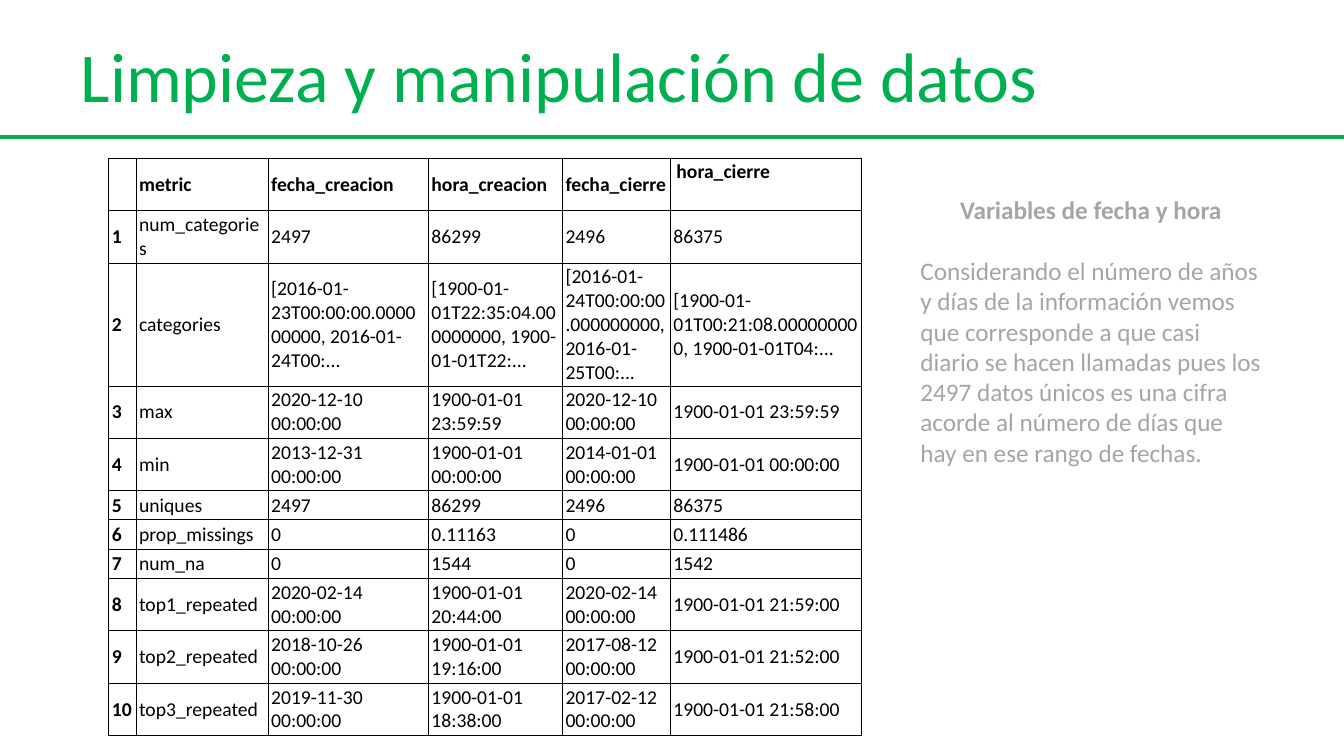
from pptx import Presentation
from pptx.dml.color import RGBColor
from pptx.enum.shapes import MSO_CONNECTOR as Link
from pptx.enum.text import MSO_ANCHOR as Anchor, MSO_AUTO_SIZE as Fit, PP_ALIGN as Align
from pptx.oxml import parse_xml
from pptx.oxml.ns import nsdecls
from pptx.util import Inches, Pt

GREEN, GRAY, BLACK = "00B050", "A5A5A5", "000000"

NOTE = (
    "Considerando el número de años y días de la información vemos que "
    "corresponde a que casi diario se hacen llamadas pues los 2497 datos "
    "únicos es una cifra acorde al número de días que hay en ese rango de fechas."
)
HEAD = ["", "metric", "fecha_creacion", "hora_creacion", "fecha_cierre", "hora_cierre"]
BODY = [
    ["num_categories", "2497", "86299", "2496", "86375"],
    ["categories",
     "[2016-01-23T00:00:00.000000000, 2016-01-24T00:...",
     "[1900-01-01T22:35:04.000000000, 1900-01-01T22:...",
     "[2016-01-24T00:00:00.000000000, 2016-01-25T00:...",
     "[1900-01-01T00:21:08.000000000, 1900-01-01T04:..."],
    ["max", "2020-12-10 00:00:00", "1900-01-01 23:59:59",
     "2020-12-10 00:00:00", "1900-01-01 23:59:59"],
    ["min", "2013-12-31 00:00:00", "1900-01-01 00:00:00",
     "2014-01-01 00:00:00", "1900-01-01 00:00:00"],
    ["uniques", "2497", "86299", "2496", "86375"],
    ["prop_missings", "0", "0.11163", "0", "0.111486"],
    ["num_na", "0", "1544", "0", "1542"],
    ["top1_repeated", "2020-02-14 00:00:00", "1900-01-01 20:44:00",
     "2020-02-14 00:00:00", "1900-01-01 21:59:00"],
    ["top2_repeated", "2018-10-26 00:00:00", "1900-01-01 19:16:00",
     "2017-08-12 00:00:00", "1900-01-01 21:52:00"],
    ["top3_repeated", "2019-11-30 00:00:00", "1900-01-01 18:38:00",
     "2017-02-12 00:00:00", "1900-01-01 21:58:00"],
]
ROWS = [HEAD] + [[str(n), *row] for n, row in enumerate(BODY, 1)]
WIDE = [0.27, 1.31, 1.59, 1.33, 1.07, 1.9]
ONE, TWO, FIVE = 0.29, 0.52, 1.22
TALL = [TWO, TWO, FIVE, TWO, TWO, ONE, ONE, ONE, TWO, TWO, TWO]


def paint(color, value):
    color.rgb = RGBColor.from_string(value)


class Deck:
    font = "Calibri"

    def __init__(self, width, height):
        self.show = Presentation()
        self.show.slide_width = Inches(width)
        self.show.slide_height = Inches(height)
        self.slide = self.show.slides.add_slide(self.show.slide_layouts[5])

    def style(self, para, size, color, bold=False, align=Align.LEFT):
        para.alignment = align
        for run in para.runs:
            run.font.name = self.font
            run.font.size = Pt(size)
            run.font.bold = bold
            paint(run.font.color, color)

    def title(self, text, box):
        shape = self.slide.shapes.title
        shape.left, shape.top, shape.width, shape.height = map(Inches, box)
        frame = shape.text_frame
        frame.text = text
        frame.auto_size = Fit.SHAPE_TO_FIT_TEXT
        frame.vertical_anchor = Anchor.TOP
        self.style(frame.paragraphs[0], 50, GREEN)

    def rule(self, start, end, color, width):
        line = self.slide.shapes.add_connector(
            Link.STRAIGHT, *map(Inches, (*start, *end)))
        paint(line.line.color, color)
        line.line.width = Pt(width)
        props = line._element.spPr
        props.append(parse_xml(f"<a:effectLst {nsdecls('a')}/>"))

    def note(self, head, text, box):
        frame = self.slide.shapes.add_textbox(*map(Inches, box)).text_frame
        frame.word_wrap = True
        frame.text = head
        first = frame.paragraphs[0]
        first.space_after = Pt(22)
        self.style(first, 18, GRAY, True, Align.CENTER)
        last = frame.add_paragraph()
        last.text = text
        self.style(last, 18, GRAY)

    def edge(self, cell):
        props = cell._tc.get_or_add_tcPr()
        for side in "LRTB":
            props.append(parse_xml(
                f'<a:ln{side} {nsdecls("a")} w="{Pt(0.75)}"><a:solidFill>'
                f'<a:srgbClr val="{BLACK}"/></a:solidFill></a:ln{side}>'))

    def cell(self, cell, text, bold, corner):
        self.edge(cell)
        cell.fill.background()
        side = 0.06 if corner else 0.03
        cell.margin_left = cell.margin_right = Inches(side)
        cell.margin_top = cell.margin_bottom = Inches(0.02)
        cell.vertical_anchor = Anchor.TOP if corner else Anchor.MIDDLE
        cell.text_frame.text = text
        self.style(cell.text_frame.paragraphs[0], 14, BLACK, bold)

    def table(self, rows, wide, tall, left, top):
        box = map(Inches, (left, top, sum(wide), sum(tall)))
        grid = self.slide.shapes.add_table(len(tall), len(wide), *box).table
        grid.first_row = grid.horz_banding = False
        for col, width in zip(grid.columns, wide):
            col.width = Inches(width)
        for r, (row, height) in enumerate(zip(rows, tall)):
            grid.rows[r].height = Inches(height)
            for c, text in enumerate(row):
                corner = r == 0 and c == len(wide) - 1
                self.cell(grid.cell(r, c), text, r == 0 or c == 0, corner)


def main():
    deck = Deck(13.33, 7.5)
    deck.rule((0, 1.36), (13.33, 1.36), GREEN, 3)
    deck.title("Limpieza y manipulación de datos", (0.7, 0.27, 13.33, 0.94))
    deck.note("Variables de fecha y hora", NOTE, (9.03, 1.88, 3.58, 3.64))
    deck.table(ROWS, WIDE, TALL, 1.08, 1.57)
    deck.show.save("out.pptx")


if __name__ == "__main__":
    main()
